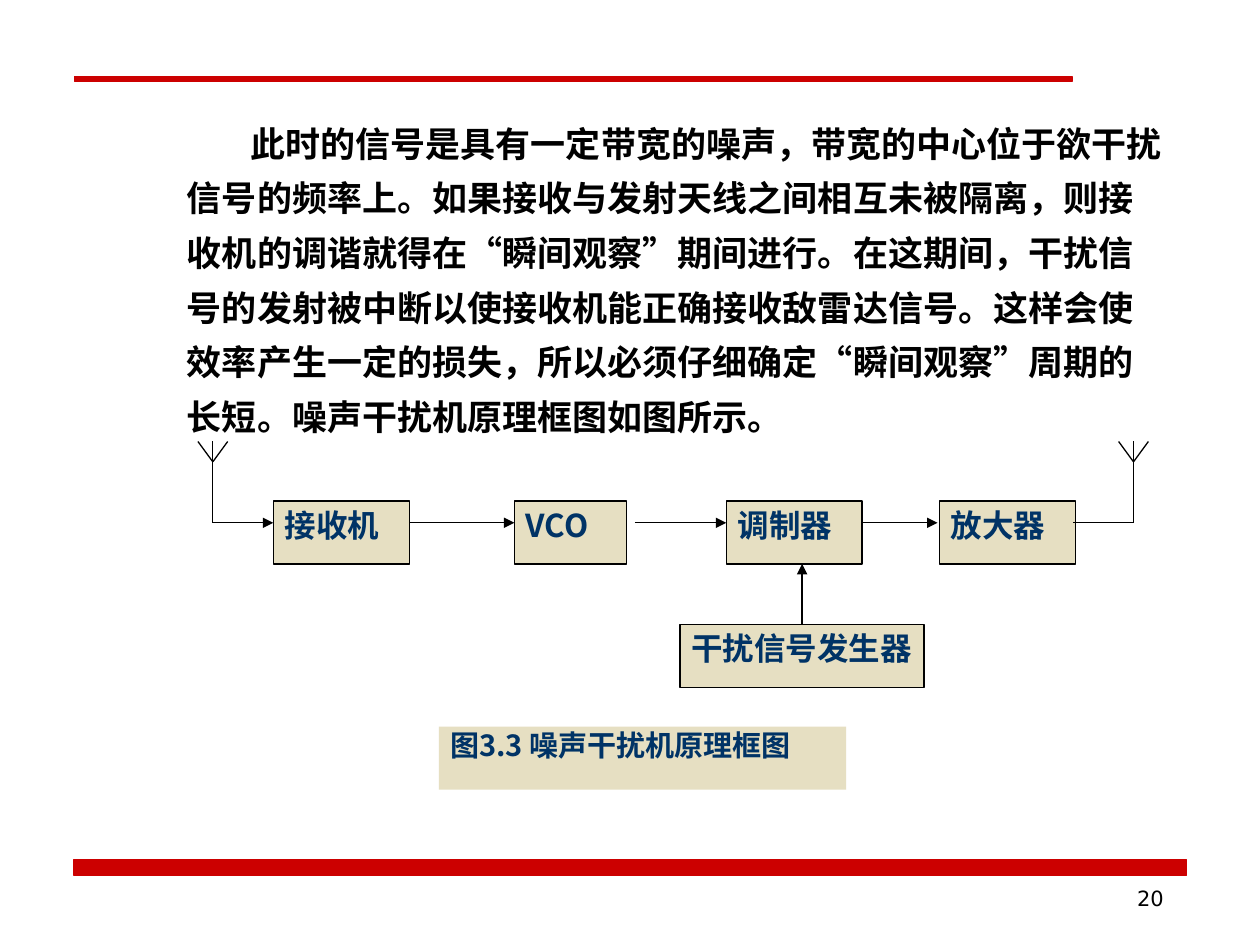
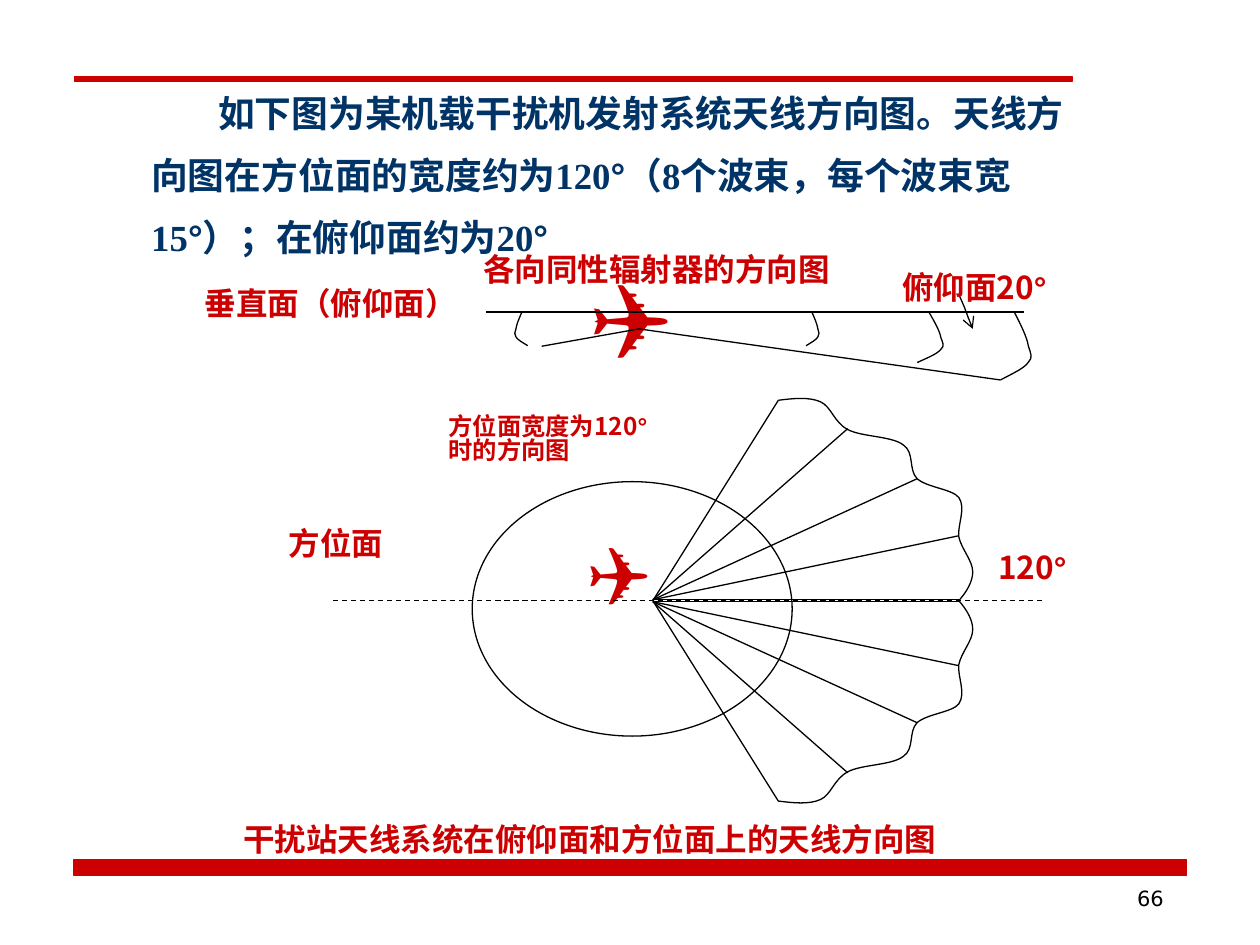
from dataclasses import dataclass
from itertools import groupby
from typing import Any, NamedTuple

from lxml import etree
from pptx import Presentation
from pptx import util as u
from pptx.dml.color import RGBColor
from pptx.enum import dml, shapes, text
from pptx.oxml import ns


@dataclass(frozen=True)
class Theme:
    red: str = "CC0000"
    navy: str = "003366"
    black: str = "000000"
    sand: str = "E6DFC2"
    cjk: str = "Noto Sans CJK SC"
    serif: str = "Times New Roman"
    symbol: str = "Arial"
    number: str = "DejaVu Sans"
    label_size: float = 18
    line_width: float = 0.75
    hairline: float = 0.25


THEME = Theme()
Point = tuple[float, float]


class Box(NamedTuple):
    left: float
    top: float
    width: float
    height: float

    def emu(self) -> list[u.Length]:
        return [u.Cm(value) for value in self]


@dataclass(frozen=True)
class TextStyle:
    size: float = THEME.label_size
    color: str = THEME.red
    font: str = THEME.cjk
    bold: bool = True
    align: text.PP_ALIGN = text.PP_ALIGN.JUSTIFY
    spacing: float = 1.0
    indent: float = 0
    anchor: text.MSO_ANCHOR = text.MSO_ANCHOR.TOP
    insets: tuple[float, float, float, float] = (0.23, 0.1, 0.23, 0.1)


@dataclass(frozen=True)
class Label:
    words: str
    box: Box
    style: TextStyle = TextStyle()


class Stroke(NamedTuple):
    start: Point
    end: Point
    head: str = ""
    dashed: bool = False
    color: str = THEME.black
    width: float = THEME.line_width


class Lobe(NamedTuple):
    """Edge of a beam in the elevation plane; a negative width faces left."""
    left: float
    width: float
    height: float


LEFT = text.PP_ALIGN.LEFT
BLOCK_STYLE = TextStyle(color=THEME.navy, align=LEFT, insets=(0.23, 0.1, 0, 0.1))
CAPTION_STYLE = TextStyle(16.6, THEME.navy, align=LEFT, spacing=0.9)
PAGE_STYLE = TextStyle(12, THEME.black, THEME.number, False, text.PP_ALIGN.RIGHT,
                       insets=(0.25, 0.13, 0.25, 0.13))
BODY_STYLE = TextStyle(20, THEME.black, THEME.serif, align=LEFT, spacing=1.3,
                       indent=1.28, anchor=text.MSO_ANCHOR.MIDDLE)
INTRO_STYLE = TextStyle(21, THEME.navy, THEME.serif, align=LEFT, spacing=1.4,
                        indent=1.35)

BANDS = [Box(1.49, 17.33, 22.43, 0.32), Box(1.5, 1.54, 20.11, 0.1)]
BAND_RULE = Stroke((1.7, 17.53), (23.7, 17.53), color=THEME.red, width=THEME.hairline)
PAGE_BOX = Box(18.2, 17.73, 5.51, 1.32)

# Noise jammer block diagram
BLOCK_TOP, BLOCK_HEIGHT, SIGNAL_Y = 10.1, 1.27, 10.54
ANTENNA_TOP, ANTENNA_FORK, ANTENNA_REACH = 8.9, 9.31, 0.3
ANTENNAS = [4.29, 22.85]
CHAIN = [("接收机", 5.51, 2.74), ("VCO", 10.37, 2.26),
         ("调制器", 14.64, 2.74), ("放大器", 18.94, 2.74)]
SIGNALS = [(4.29, 5.51, "triangle"), (8.25, 10.37, "triangle"),
           (12.8, 14.64, "triangle"), (17.38, 18.9, "triangle"),
           (21.64, 22.85, "")]
GENERATOR_BOX = Box(13.71, 12.59, 4.92, BLOCK_HEIGHT)
CAPTION_BOX = Box(8.85, 14.65, 8.21, BLOCK_HEIGHT)
BODY = Label(
    "此时的信号是具有一定带宽的噪声，带宽的中心位于欲干扰信号的频率上。"
    "如果接收与发射天线之间相互未被隔离，则接收机的调谐就得在“瞬间观察”期间进行。"
    "在这期间，干扰信号的发射被中断以使接收机能正确接收敌雷达信号。"
    "这样会使效率产生一定的损失，所以必须仔细确定“瞬间观察”周期的长短。"
    "噪声干扰机原理框图如图所示。",
    Box(3.54, 2.1, 20.19, 6.83), BODY_STYLE)

# Antenna patterns
HORIZON_Y, AXIS_Y = 6.29, 12.11
ELEVATION_STROKES = [
    Stroke((9.8, HORIZON_Y), (20.65, HORIZON_Y)),
    Stroke((12.88, 6.63), (20.17, 7.66)),
    Stroke((12.88, 6.63), (10.92, 6.98)),
]
ELEVATION_POINTER = [(19.33, 5.94), (19.46, 6.22), (19.56, 6.53), (19.61, 6.63)]
LOBES = [Lobe(20.17, 0.66, 1.37), Lobe(18.49, 0.56, 1.02),
         Lobe(16.25, 0.28, 0.68), Lobe(10.64, -0.28, 0.68)]
LOBE_CURVE = [(0, 1), (0.35, 0.91), (0.73, 0.83), (0.85, 0.74), (1, 0.67),
              (0.92, 0.61), (0.85, 0.5), (0.81, 0.37), (0.62, 0.19), (0.42, 0)]
AZIMUTH_CIRCLE = Box(9.52, 9.71, 6.45, 5.13)
AZIMUTH_AXIS = Stroke((6.71, AXIS_Y), (21.01, AXIS_Y), dashed=True)
BEAM_ORIGIN = (13.16, 12.09)
BEAM_ENDS = [(17.09, 8.64), (18.49, 9.65), (19.33, 10.8), (19.33, 12.09)]
FAN_CORNER = (15.69, 8.07)
SCALLOP_CURVE = [
    FAN_CORNER, (16, 8.03), (16.31, 8), (16.54, 8.1),
    (16.76, 8.2), (16.81, 8.51), (17.09, 8.66),
    (17.37, 8.81), (17.98, 8.79), (18.21, 8.97),
    (18.44, 9.12), (18.31, 9.47), (18.49, 9.65),
    (18.69, 9.83), (19.2, 9.86), (19.33, 10.03),
    (19.48, 10.24), (19.3, 10.59), (19.33, 10.82),
    (19.38, 11.07), (19.61, 11.3), (19.61, 11.53),
    (19.61, 11.73), (19.48, 11.94), (19.33, AXIS_Y),
]
AIRCRAFT = [
    Label("✈", Box(11.69, 5.22, 3.63, 2.34), TextStyle(48, font=THEME.symbol)),
    Label("✈", Box(11.63, 10.92, 3.81, 1.85),
          TextStyle(37.2, font=THEME.symbol, spacing=0.8)),
]
PATTERN_LABELS = [
    Label("垂直面（俯仰面）", Box(3.9, 5.63, 5.99, 1.02)),
    Label("各向同性辐射器的方向图", Box(9.51, 4.95, 8.64, 1.02)),
    Label("俯仰面20°", Box(17.96, 5.3, 3.94, 1.02)),
    Label("方位面", Box(5.59, 10.46, 4.06, 1.02)),
    Label("120°", Box(19.89, 10.95, 2.67, 1.02)),
    Label("方位面宽度为120°\n时的方向图", Box(8.81, 8.31, 7.29, 1.47),
          TextStyle(13.9, spacing=0.8)),
    Label("干扰站天线系统在俯仰面和方位面上的天线方向图", Box(4.67, 16.43, 17.6, 1.02)),
    Label("如下图为某机载干扰机发射系统天线方向图。天线方向图在方位面的宽度约为120°"
          "（8个波束，每个波束宽15°）；在俯仰面约为20°",
          Box(2.82, 1.38, 19.13, 3.96), INTRO_STYLE),
]


def apply_format(target: Any, values: dict[str, Any]) -> None:
    for name, value in values.items():
        setattr(target, name, value)


def set_line(line: Any, color: str = THEME.black, width: float = THEME.line_width,
             head: str = "") -> None:
    line.color.rgb = RGBColor.from_string(color)
    line.width = u.Pt(width)
    if head:
        etree.SubElement(line._get_or_add_ln(), ns.qn("a:tailEnd"), type=head)


def write(frame: Any, words: str, style: TextStyle) -> None:
    """Fill a text frame, one paragraph a line, with degree signs in the symbol font."""
    margins = zip(("left", "top", "right", "bottom"), style.insets)
    apply_format(frame, {"word_wrap": True, "vertical_anchor": style.anchor}
                 | {f"margin_{side}": u.Cm(inset) for side, inset in margins})
    for index, line in enumerate(words.split("\n")):
        paragraph = frame.add_paragraph() if index else frame.paragraphs[0]
        apply_format(paragraph, {"alignment": style.align, "line_spacing": style.spacing})
        if style.indent:
            paragraph._p.get_or_add_pPr().set("indent", str(u.Cm(style.indent)))
        for is_degree, letters in groupby(line, lambda letter: letter == "°"):
            run = paragraph.add_run()
            run.text = "".join(letters)
            apply_format(run.font, {
                "size": u.Pt(style.size), "bold": style.bold,
                "name": THEME.symbol if is_degree else style.font})
            run.font.color.rgb = RGBColor.from_string(style.color)
            etree.SubElement(run._r.get_or_add_rPr(), ns.qn("a:ea"), typeface=THEME.cjk)


def add_label(slide: Any, label: Label) -> None:
    write(slide.shapes.add_textbox(*label.box.emu()).text_frame, label.words, label.style)


def add_panel(slide: Any, box: Box, fill: str = "", line: str = "",
              kind: shapes.MSO_SHAPE = shapes.MSO_SHAPE.RECTANGLE) -> Any:
    panel = slide.shapes.add_shape(kind, *box.emu())
    panel.shadow.inherit = False
    if fill:
        panel.fill.solid()
        panel.fill.fore_color.rgb = RGBColor.from_string(fill)
    else:
        panel.fill.background()
    if line:
        set_line(panel.line, line)
    else:
        panel.line.fill.background()
    return panel


def add_block(slide: Any, words: str, box: Box) -> Any:
    block = add_panel(slide, box, THEME.sand, THEME.black)
    write(block.text_frame, words, BLOCK_STYLE)
    return block


def add_stroke(slide: Any, stroke: Stroke) -> Any:
    ends = [u.Cm(value) for value in (*stroke.start, *stroke.end)]
    link = slide.shapes.add_connector(shapes.MSO_CONNECTOR.STRAIGHT, *ends)
    set_line(link.line, stroke.color, stroke.width, stroke.head)
    if stroke.dashed:
        link.line.dash_style = dml.MSO_LINE.DASH
    etree.SubElement(link._element.spPr, ns.qn("a:effectLst"))
    return link


def add_curve(slide: Any, controls: list[Point], head: str = "") -> None:
    """Draw a chain of cubic curves that share their end points."""
    start, *rest = [(u.Cm(x), u.Cm(y)) for x, y in controls]
    builder = slide.shapes.build_freeform(*start)
    builder.add_line_segments(rest, close=False)
    curve = builder.convert_to_shape()
    segments = list(curve._element.iter(ns.qn("a:lnTo")))
    for first in range(0, len(segments), 3):
        cubic = etree.Element(ns.qn("a:cubicBezTo"))
        segments[first].addprevious(cubic)
        for segment in segments[first:first + 3]:
            cubic.append(segment[0])
            segment.getparent().remove(segment)
    curve.shadow.inherit = False
    curve.fill.background()
    set_line(curve.line, head=head)


def mirror(point: Point) -> Point:
    """Reflect a point in the azimuth axis."""
    return point[0], 2 * AXIS_Y - point[1]


def new_slide(deck: Any, page: int) -> Any:
    slide = deck.slides.add_slide(deck.slide_layouts[6])
    for band in BANDS:
        add_panel(slide, band, THEME.red, THEME.red)
    add_stroke(slide, BAND_RULE)
    add_label(slide, Label(str(page), PAGE_BOX, PAGE_STYLE))
    return slide


def build_jammer_slide(deck: Any) -> None:
    slide = new_slide(deck, 20)
    for words, left, width in CHAIN:
        add_block(slide, words, Box(left, BLOCK_TOP, width, BLOCK_HEIGHT))
    for start, end, head in SIGNALS:
        add_stroke(slide, Stroke((start, SIGNAL_Y), (end, SIGNAL_Y), head))
    for x in ANTENNAS:
        add_stroke(slide, Stroke((x, ANTENNA_TOP), (x, SIGNAL_Y)))
        for reach in (-ANTENNA_REACH, ANTENNA_REACH):
            add_stroke(slide, Stroke((x, ANTENNA_FORK), (x + reach, ANTENNA_TOP)))
    generator = add_block(slide, "干扰信号发生器", GENERATOR_BOX)
    center = GENERATOR_BOX.left + GENERATOR_BOX.width / 2
    feed = add_stroke(slide, Stroke((center, GENERATOR_BOX.top),
                                    (center, BLOCK_TOP + BLOCK_HEIGHT), "triangle"))
    feed.begin_connect(generator, 0)
    caption = add_panel(slide, CAPTION_BOX, THEME.sand)
    write(caption.text_frame, "图3.3 噪声干扰机原理框图", CAPTION_STYLE)
    add_label(slide, BODY)


def build_pattern_slide(deck: Any) -> None:
    slide = new_slide(deck, 66)
    for aircraft in AIRCRAFT:
        add_label(slide, aircraft)
    for stroke in (*ELEVATION_STROKES, AZIMUTH_AXIS):
        add_stroke(slide, stroke)
    for lobe in LOBES:
        add_curve(slide, [(lobe.left + x * lobe.width, HORIZON_Y + y * lobe.height)
                          for x, y in LOBE_CURVE])
    add_curve(slide, ELEVATION_POINTER, "arrow")
    add_panel(slide, AZIMUTH_CIRCLE, line=THEME.black, kind=shapes.MSO_SHAPE.OVAL)
    beams = [Stroke(BEAM_ORIGIN, end) for end in BEAM_ENDS]
    beams.append(Stroke((BEAM_ORIGIN[0], AXIS_Y), FAN_CORNER))
    for beam in beams:
        add_stroke(slide, beam)
        add_stroke(slide, Stroke(mirror(beam.start), mirror(beam.end)))
    add_curve(slide, SCALLOP_CURVE)
    add_curve(slide, [mirror(point) for point in SCALLOP_CURVE])
    for label in PATTERN_LABELS:
        add_label(slide, label)


def main() -> None:
    deck = Presentation()
    apply_format(deck, {"slide_width": u.Cm(25.4), "slide_height": u.Cm(19.05)})
    build_jammer_slide(deck)
    build_pattern_slide(deck)
    deck.save("out.pptx")


if __name__ == "__main__":
    main()
